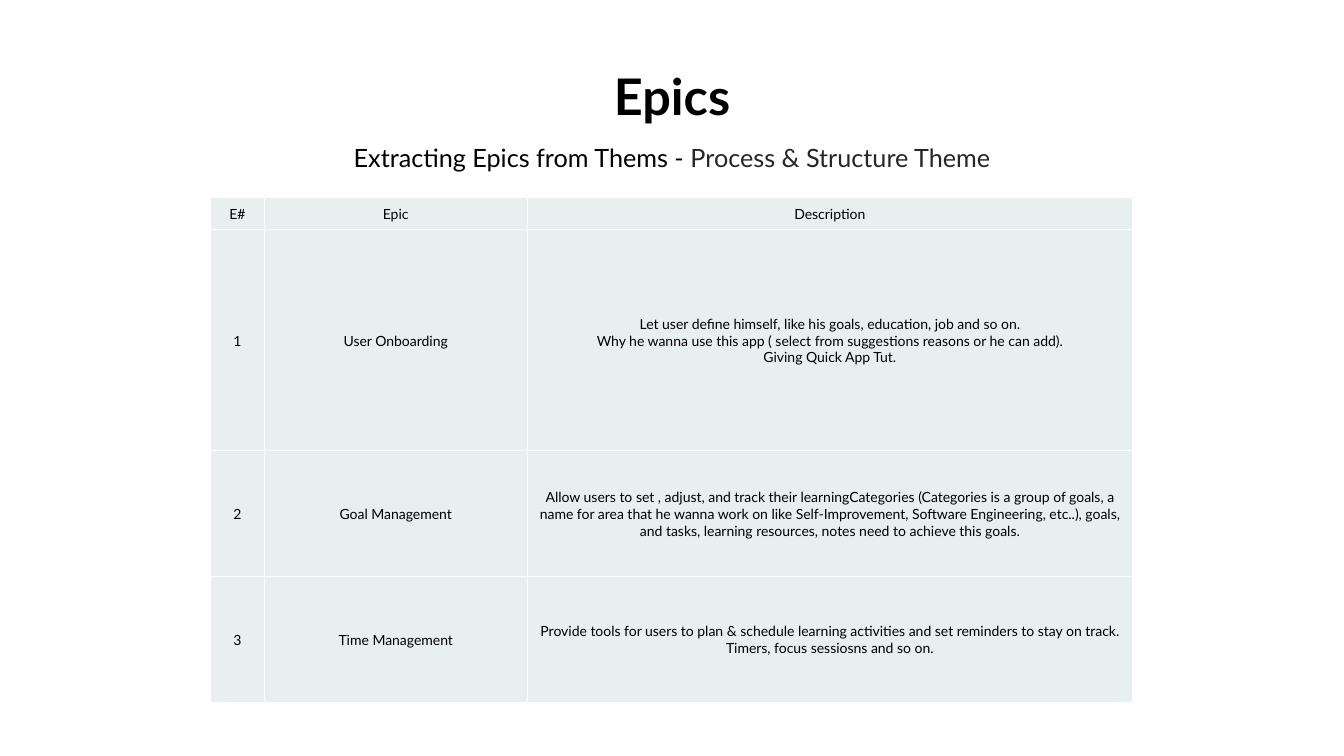
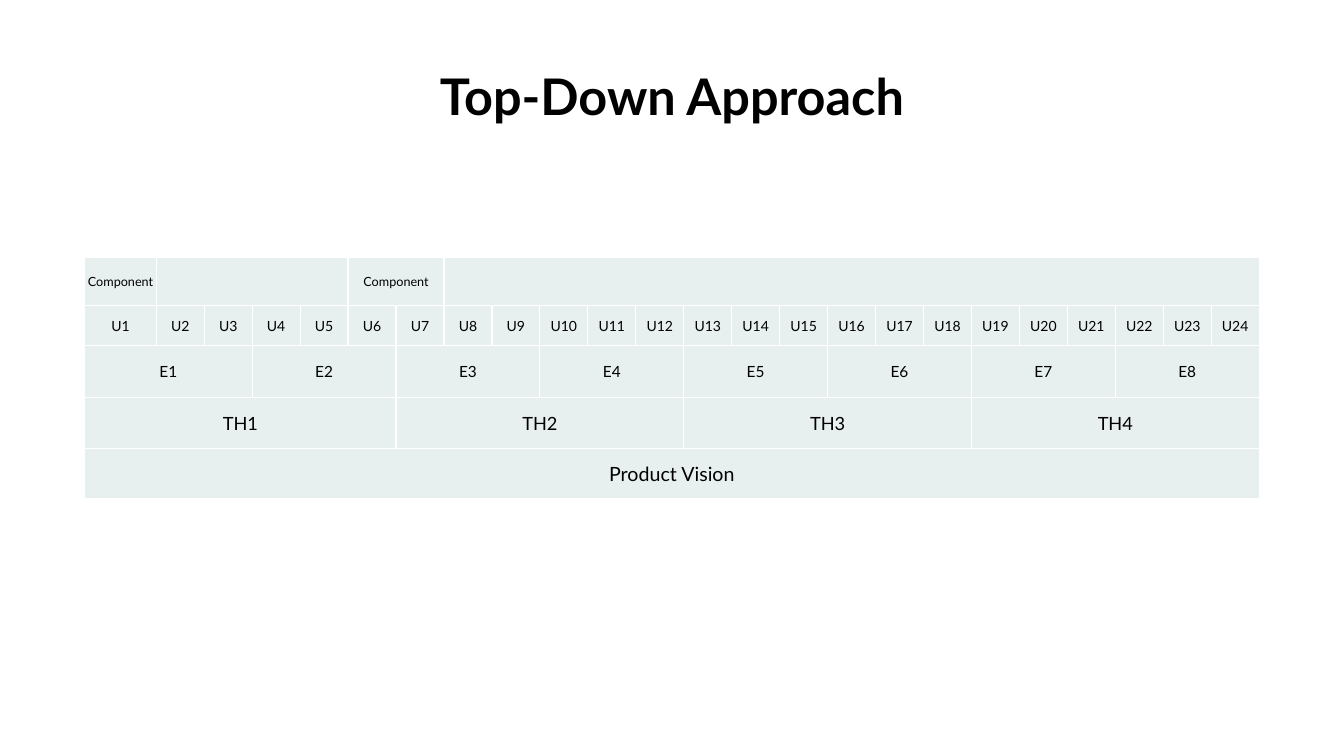
from dataclasses import dataclass

from lxml import etree
from pptx import Presentation
from pptx.dml.color import RGBColor
from pptx.enum.text import MSO_ANCHOR, PP_ALIGN
from pptx.oxml.ns import qn
from pptx.util import Inches, Pt

CENTER = PP_ALIGN.CENTER
TOP, MIDDLE, BOTTOM = MSO_ANCHOR.TOP, MSO_ANCHOR.MIDDLE, MSO_ANCHOR.BOTTOM
BLANK_LAYOUT = 6
UNIT_COUNT = 24


@dataclass(frozen=True)
class Theme:
    font: str = "Lato"
    text: str = "000000"
    muted: str = "262626"
    cell: str = "E8EFEF"
    border: str = "FFFFFF"
    border_width: float = 1
    title: float = 36
    subtitle: float = 18
    component: float = 9
    body: float = 10
    epic: float = 11
    theme_row: float = 13
    vision: float = 14


THEME = Theme()
TITLE_BOX = (1.89, 0.55, 9.55, 0.75)
SUBTITLE_BOX = (1.89, 1.33, 9.55, 0.46)
EPICS_BOX = (2.09, 1.96, 9.14, 5.01)
APPROACH_BOX = (0.84, 2.55, 11.65, 2.4)
CELL_FORMAT = {
    "margin_left": Inches(0.01),
    "margin_right": Inches(0.01),
    "margin_top": Inches(0.01),
    "margin_bottom": 0,
    "vertical_anchor": MIDDLE,
}

EPICS = [
    ("E#", "Epic", "Description"),
    ("1", "User Onboarding",
     "Let user define himself, like his goals, education, job and so on.\v"
     "Why he wanna use this app ( select from suggestions reasons or he can add).\v"
     "Giving Quick App Tut."),
    ("2", "Goal Management",
     "Allow users to set , adjust, and track their learningCategories "
     "(Categories is a group of goals, a name for area that he wanna work on "
     "like Self-Improvement, Software Engineering, etc..), goals, and tasks, "
     "learning resources, notes need to achieve this goals."),
    ("3", "Time Management",
     "Provide tools for users to plan & schedule learning activities and set "
     "reminders to stay on track.\vTimers, focus sessiosns and so on."),
]


def numbered(prefix, count):
    """Labels that share the units equally, as (text, span) pairs."""
    return [(f"{prefix}{number}", UNIT_COUNT // count)
            for number in range(1, count + 1)]


# Each level: height, type size, (text, span) pairs
APPROACH_LEVELS = [
    (0.48, THEME.component,
     [("Component", 1), ("", 4), ("Component", 2), ("", 17)]),
    (0.4, THEME.body, numbered("U", UNIT_COUNT)),
    (0.51, THEME.epic, numbered("E", 8)),
    (0.51, THEME.theme_row, numbered("TH", 4)),
    (0.5, THEME.vision, [("Product Vision", UNIT_COUNT)]),
]


def set_attributes(target, values):
    for name, value in values.items():
        setattr(target, name, value)


def style_font(font, size, color=THEME.text, bold=False):
    set_attributes(font, {"name": THEME.font, "size": Pt(size), "bold": bold})
    font.color.rgb = RGBColor.from_string(color)


def add_heading(slide, box, runs, size, anchor, line_spacing, bold=False):
    """Centred line of text made of (text, colour) runs."""
    shape = slide.shapes.add_textbox(*map(Inches, box))
    set_attributes(shape.text_frame, {"word_wrap": True, "vertical_anchor": anchor})
    paragraph = shape.text_frame.paragraphs[0]
    set_attributes(paragraph, {"alignment": CENTER, "line_spacing": line_spacing})
    for text, color in runs:
        run = paragraph.add_run()
        run.text = text
        style_font(run.font, size, color, bold)


def add_titled_slide(presentation, title):
    slide = presentation.slides.add_slide(presentation.slide_layouts[BLANK_LAYOUT])
    add_heading(slide, TITLE_BOX, [(title, THEME.text)], THEME.title, BOTTOM, 0.9, True)
    return slide


def add_borders(cell):
    properties = cell._tc.get_or_add_tcPr()
    for side in ("a:lnL", "a:lnR", "a:lnT", "a:lnB"):
        line = etree.SubElement(properties, qn(side), w=str(Pt(THEME.border_width)))
        fill = etree.SubElement(line, qn("a:solidFill"))
        etree.SubElement(fill, qn("a:srgbClr"), val=THEME.border)


def fill_cell(cell, text, size):
    cell.text = text
    paragraph = cell.text_frame.paragraphs[0]
    paragraph.alignment = CENTER
    for run in paragraph.runs:
        style_font(run.font, size)
    # Line breaks take the size of the text around them
    for line_break in paragraph._p.findall(qn("a:br")):
        etree.SubElement(line_break, qn("a:rPr"), sz=str(int(size * 100)))


def add_grid(slide, box, widths, heights):
    """Table with the shared cell fill, borders and margins."""
    frame = slide.shapes.add_table(len(heights), len(widths), *map(Inches, box))
    table = frame.table
    set_attributes(table, {"first_row": False, "horz_banding": False})
    for column, width in zip(table.columns, widths):
        column.width = Inches(width)
    for row, height in zip(table.rows, heights):
        row.height = Inches(height)
    for cell in table.iter_cells():
        set_attributes(cell, CELL_FORMAT)
        add_borders(cell)
        cell.fill.solid()
        cell.fill.fore_color.rgb = RGBColor.from_string(THEME.cell)
    return table


def add_epics_table(slide, box):
    table = add_grid(slide, box, [0.53, 2.61, 6], [0.32, 2.19, 1.25, 1.25])
    for row, texts in enumerate(EPICS):
        for column, text in enumerate(texts):
            fill_cell(table.cell(row, column), text, THEME.body)


def add_approach_table(slide, box):
    first_width = 0.71
    unit_width = (box[2] - first_width) / (UNIT_COUNT - 1)
    widths = [first_width] + [unit_width] * (UNIT_COUNT - 1)
    table = add_grid(slide, box, widths, [level[0] for level in APPROACH_LEVELS])
    for row, (_, size, entries) in enumerate(APPROACH_LEVELS):
        column = 0
        for text, span in entries:
            cell = table.cell(row, column)
            if span > 1:
                cell.merge(table.cell(row, column + span - 1))
            fill_cell(cell, text, size)
            column += span


def build_epics_slide(presentation):
    slide = add_titled_slide(presentation, "Epics")
    runs = [("Extracting Epics from Thems - ", THEME.text),
            ("Process & Structure Theme", THEME.muted)]
    add_heading(slide, SUBTITLE_BOX, runs, THEME.subtitle, TOP, 1.1)
    add_epics_table(slide, EPICS_BOX)


def build_approach_slide(presentation):
    slide = add_titled_slide(presentation, "Top-Down Approach")
    add_approach_table(slide, APPROACH_BOX)


def main():
    presentation = Presentation()
    set_attributes(presentation, {"slide_width": Inches(13.33),
                                  "slide_height": Inches(7.5)})
    build_epics_slide(presentation)
    build_approach_slide(presentation)
    presentation.save("out.pptx")


if __name__ == "__main__":
    main()
